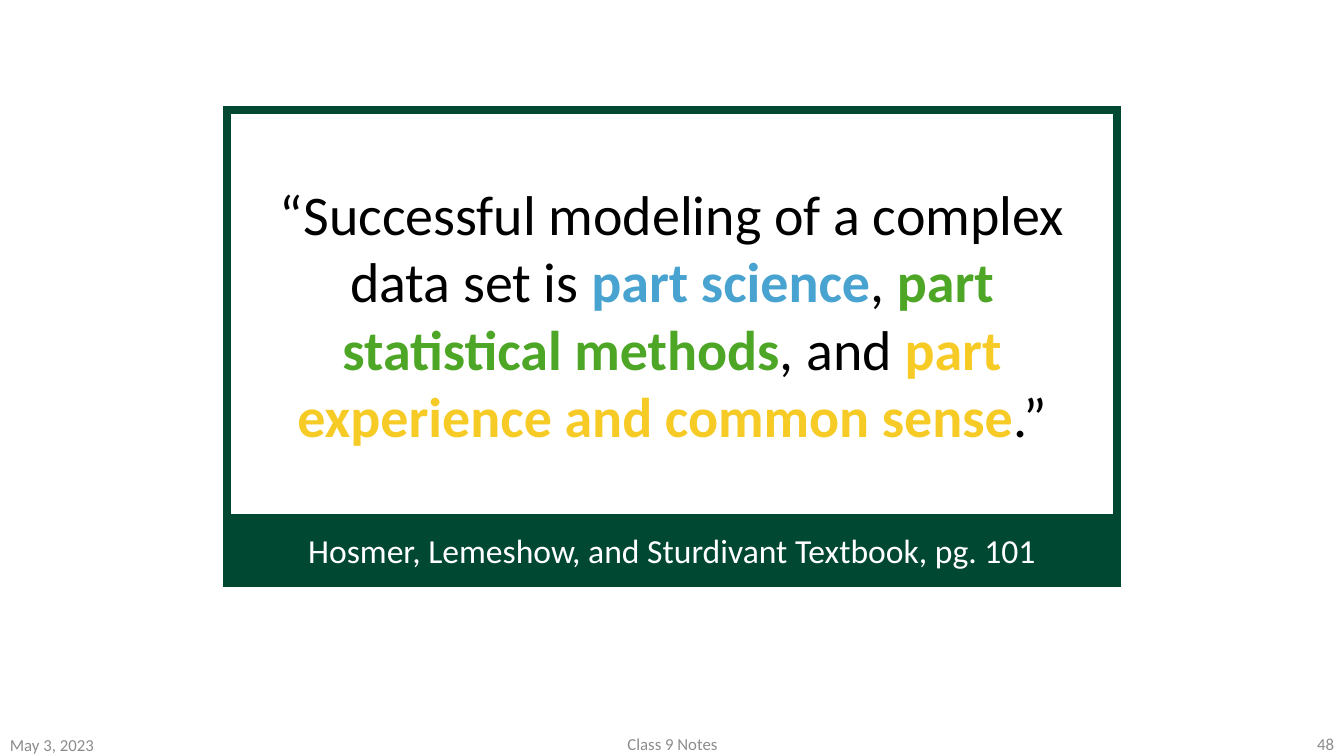
"""Build a slide with a framed quotation, its citation bar and a footer."""
from dataclasses import dataclass
from typing import Optional

from lxml import etree
from pptx import Presentation
from pptx.dml.color import RGBColor
from pptx.enum.shapes import MSO_SHAPE
from pptx.enum.text import MSO_ANCHOR, PP_ALIGN
from pptx.oxml.ns import qn
from pptx.shapes.autoshape import Shape
from pptx.util import Emu, Pt

RECTANGLE = MSO_SHAPE.RECTANGLE
MIDDLE = MSO_ANCHOR.MIDDLE
LEFT, CENTER, RIGHT = PP_ALIGN.LEFT, PP_ALIGN.CENTER, PP_ALIGN.RIGHT

EMU_PER_PX = 9144
FONT = "Calibri"
BLACK = RGBColor(0x00, 0x00, 0x00)
WHITE = RGBColor(0xFF, 0xFF, 0xFF)
GRAY = RGBColor(0x8C, 0x8C, 0x8C)
DARK_GREEN = RGBColor(0x00, 0x48, 0x32)
BLUE = RGBColor(0x49, 0xA3, 0xD1)
GREEN = RGBColor(0x4E, 0xA6, 0x27)
YELLOW = RGBColor(0xF7, 0xCB, 0x25)


@dataclass(frozen=True)
class Box:
    left: int
    top: int
    width: int
    height: int


@dataclass(frozen=True)
class Phrase:
    text: str
    color: RGBColor
    bold: bool = False


@dataclass(frozen=True)
class FooterItem:
    text: str
    box: Box
    alignment: PP_ALIGN


@dataclass(frozen=True)
class Panel:
    box: Box
    fill: Optional[RGBColor]
    size: int
    phrases: tuple[Phrase, ...]


FOOTER = (
    FooterItem("May 3, 2023", Box(0, 727, 300, 23), LEFT),
    FooterItem("Class 9 Notes", Box(442, 725, 450, 25), CENTER),
    FooterItem("48", Box(1033, 725, 300, 25), RIGHT),
)

QUOTE = (
    Phrase("“Successful modeling of a complex data set is ", BLACK),
    Phrase("part science", BLUE, True),
    Phrase(", ", BLACK),
    Phrase("part statistical methods", GREEN, True),
    Phrase(", and ", BLACK),
    Phrase("part experience and common sense", YELLOW, True),
    Phrase(".”", BLACK),
)
CITATION = (Phrase("Hosmer, Lemeshow, and Sturdivant Textbook, pg. 101", WHITE),)

PANELS = (
    Panel(Box(225, 109, 883, 405), None, 40, QUOTE),
    Panel(Box(225, 514, 883, 64), DARK_GREEN, 24, CITATION),
)


def px(length: int) -> Emu:
    """Turn whole pixels into EMU."""
    return Emu(length * EMU_PER_PX)


def place(box: Box) -> tuple[Emu, Emu, Emu, Emu]:
    """Return the position and size of a box in EMU."""
    return px(box.left), px(box.top), px(box.width), px(box.height)


def write(shape: Shape, phrases: tuple[Phrase, ...], size: int, alignment: PP_ALIGN) -> None:
    """Write one paragraph of coloured phrases, vertically centred."""
    frame = shape.text_frame
    frame.word_wrap = True
    frame.vertical_anchor = MIDDLE
    paragraph = frame.paragraphs[0]
    paragraph.alignment = alignment
    for phrase in phrases:
        run = paragraph.add_run()
        run.text = phrase.text
        run.font.name = FONT
        run.font.size = Pt(size)
        run.font.bold = phrase.bold
        run.font.color.rgb = phrase.color


def add_footer_item(shapes, item: FooterItem) -> None:
    """Add one footer text box."""
    shape = shapes.add_textbox(*place(item.box))
    write(shape, (Phrase(item.text, GRAY),), 12, item.alignment)


def add_panel(shapes, panel: Panel) -> None:
    """Add a rectangle with a thick, sharp-cornered border and its text."""
    shape = shapes.add_shape(RECTANGLE, *place(panel.box))
    shape.shadow.inherit = False
    if panel.fill is None:
        shape.fill.background()
    else:
        shape.fill.solid()
        shape.fill.fore_color.rgb = panel.fill
    shape.line.color.rgb = DARK_GREEN
    shape.line.width = Pt(6)
    outline = shape.element.spPr.find(qn("a:ln"))
    etree.SubElement(outline, qn("a:miter"), lim="800000")
    write(shape, panel.phrases, panel.size, CENTER)


def main() -> None:
    """Build and save the slide."""
    presentation = Presentation()
    presentation.slide_width, presentation.slide_height = px(1333), px(750)
    slide = presentation.slides.add_slide(presentation.slide_layouts[6])
    for item in FOOTER:
        add_footer_item(slide.shapes, item)
    quotation = slide.shapes.add_group_shape()
    for panel in PANELS:
        add_panel(quotation.shapes, panel)
    presentation.save("out.pptx")


if __name__ == "__main__":
    main()
